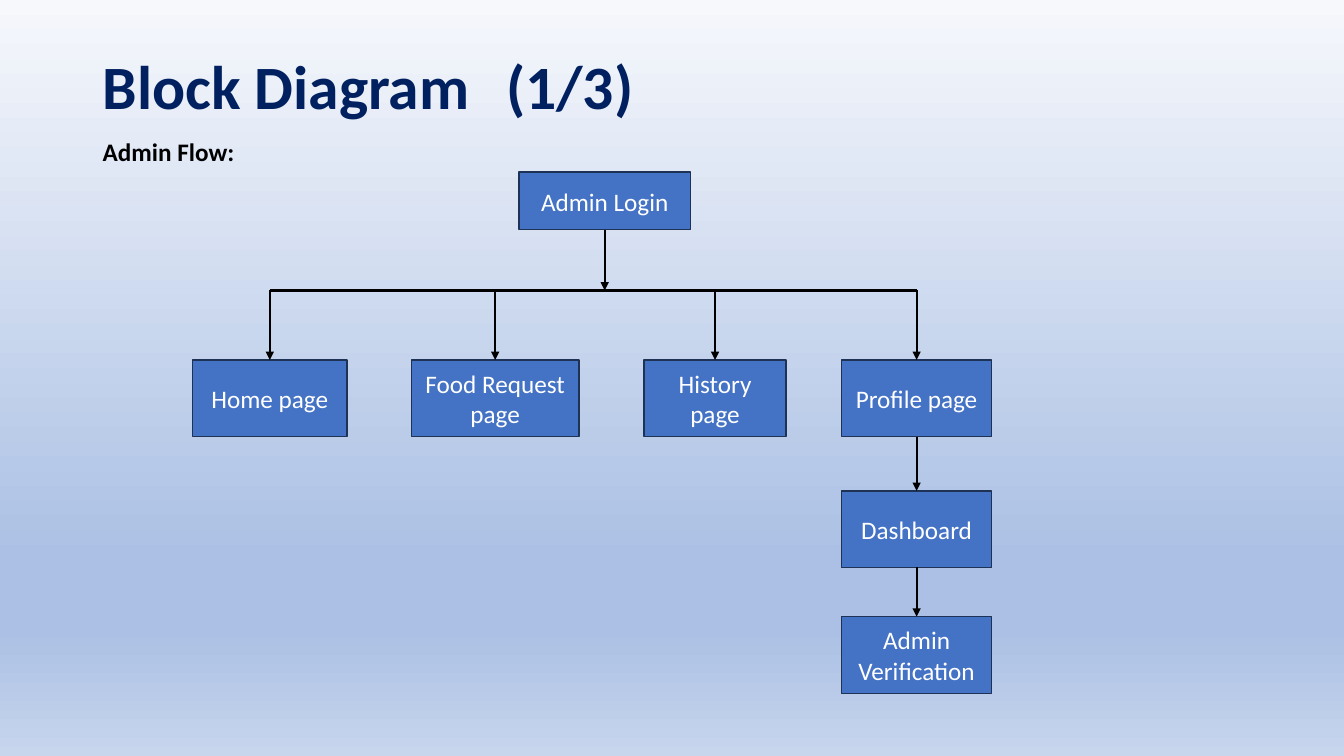
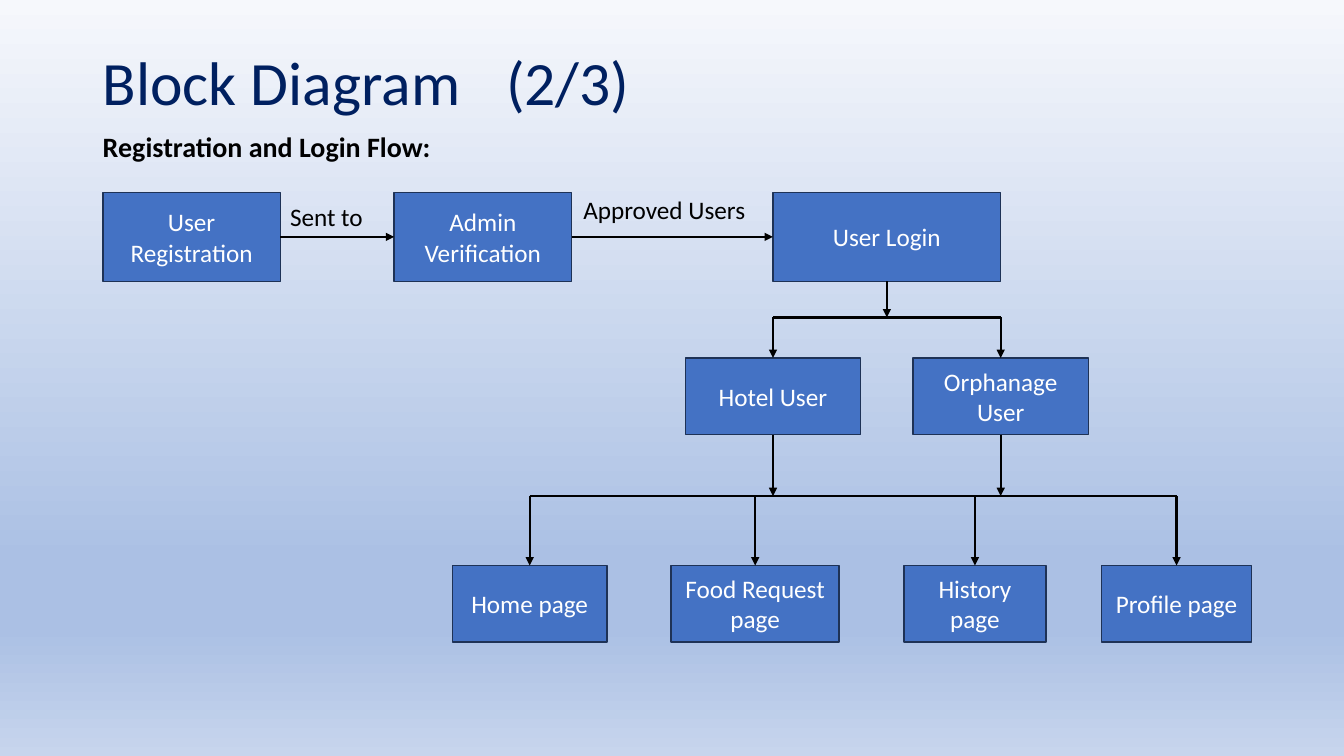
"""Build two block diagram slides for the admin and registration flows."""
from lxml import etree
from pptx import Presentation
from pptx.dml.color import RGBColor
from pptx.enum import shapes, text
from pptx.oxml.ns import qn
from pptx.util import Cm, Pt

NAVY = RGBColor(0x00, 0x20, 0x60)
BLUE = RGBColor(0x44, 0x72, 0xC4)
EDGE = RGBColor(0x1E, 0x32, 0x56)
BLACK = RGBColor(0x00, 0x00, 0x00)
WHITE = RGBColor(0xFF, 0xFF, 0xFF)
SKY = (
    (0, RGBColor(0xF6, 0xF8, 0xFC)),
    (74, RGBColor(0xAB, 0xC0, 0xE4)),
    (83, RGBColor(0xAB, 0xC0, 0xE4)),
    (100, RGBColor(0xC7, 0xD5, 0xED)),
)
FONT = "Calibri"
LEFT = 2.34
BOX_H = 1.93
BUS_DROP = 1.75
TOP, BOTTOM = 0, 2
PAGES = (
    ("Home page", 6.8, 3.9),
    ("Food Request page", 12.48, 4.23),
    ("History page", 18.02, 3.58),
    ("Profile page", 23.1, 3.79),
)


def set_background(master):
    """Give the master its vertical gradient."""
    fill = master.background.fill
    fill.gradient()
    fill.gradient_angle = 270
    stops = master.element.find(".//" + qn("a:gsLst"))
    for gs in list(stops):
        stops.remove(gs)
    for percent, color in SKY:
        gs = etree.SubElement(stops, qn("a:gs"), pos=str(percent * 1000))
        etree.SubElement(gs, qn("a:srgbClr"), val=str(color))


def write(tf, content, size, color, bold=False, align=text.PP_ALIGN.LEFT):
    """Fill a text frame with one formatted paragraph."""
    tf.text = content
    tf.word_wrap = True
    p = tf.paragraphs[0]
    p.alignment = align
    for r in p.runs:
        r.font.name = FONT
        r.font.size = Pt(size)
        r.font.bold = bold
        r.font.color.rgb = color
    return p


def add_slide(prs, title, top, width, height, bold):
    """Add a slide with its title placed and styled."""
    s = prs.slides.add_slide(prs.slide_layouts[5])
    sp = s.shapes.title
    sp.left, sp.top, sp.width, sp.height = Cm(LEFT), Cm(top), Cm(width), Cm(height)
    tf = sp.text_frame
    p = write(tf, title, 44, NAVY, bold)
    p.line_spacing = 0.9
    tf.vertical_anchor = text.MSO_ANCHOR.MIDDLE
    tf.auto_size = text.MSO_AUTO_SIZE.NONE
    return s


def add_label(s, content, left, top, width, height=1.02, size=18, bold=False):
    """Add a plain text label."""
    sp = s.shapes.add_textbox(Cm(left), Cm(top), Cm(width), Cm(height))
    write(sp.text_frame, content, size, BLACK, bold)
    sp.text_frame.auto_size = text.MSO_AUTO_SIZE.SHAPE_TO_FIT_TEXT


def add_box(s, content, center, top, width, height=BOX_H):
    """Add a diagram block centred on a horizontal position."""
    sp = s.shapes.add_shape(
        shapes.MSO_SHAPE.RECTANGLE,
        Cm(center - width / 2), Cm(top), Cm(width), Cm(height),
    )
    sp.shadow.inherit = False
    sp.fill.solid()
    sp.fill.fore_color.rgb = BLUE
    sp.line.color.rgb = EDGE
    sp.line.width = Pt(1)
    write(sp.text_frame, content, 18, WHITE, align=text.PP_ALIGN.CENTER)
    sp.text_frame.vertical_anchor = text.MSO_ANCHOR.MIDDLE
    return sp


def add_line(s, x1, y1, x2, y2, arrow=True):
    """Add a straight black connector, with an arrowhead if wanted."""
    c = s.shapes.add_connector(shapes.MSO_CONNECTOR.STRAIGHT, x1, y1, x2, y2)
    c.line.color.rgb = BLACK
    c.line.width = Pt(1.5)
    pr = c.element.spPr
    if arrow:
        etree.SubElement(pr.find(qn("a:ln")), qn("a:tailEnd"), type="triangle")
    etree.SubElement(pr, qn("a:effectLst"))
    return c


def middle(sp):
    """Return the horizontal centre of a shape."""
    return sp.left + sp.width // 2


def link(s, start, end, start_site=BOTTOM, end_site=TOP):
    """Join two blocks with an arrow."""
    c = add_line(s, start.left, start.top, end.left, end.top)
    c.begin_connect(start, start_site)
    c.end_connect(end, end_site)


def add_fork(s, parents, bus, children):
    """Lead parents down to a shared bus and the bus down to children."""
    y = Cm(bus)
    add_line(s, middle(children[0]), y, middle(children[-1]), y, arrow=False)
    for sp in parents:
        c = add_line(s, middle(sp), sp.top + sp.height, middle(sp), y)
        c.begin_connect(sp, BOTTOM)
    for sp in children:
        c = add_line(s, middle(sp), y, middle(sp), sp.top)
        c.end_connect(sp, TOP)


def add_pages(s, parents, bus, shift=0):
    """Add the row of page blocks below a bus."""
    pages = [
        add_box(s, name, center + shift, bus + BUS_DROP, width)
        for name, center, width in PAGES
    ]
    add_fork(s, parents, bus, pages)
    return pages


def admin_flow(prs):
    """Build the admin flow slide."""
    s = add_slide(prs, "Block Diagram\t(1/3)", 1.02, 18.87, 2.49, True)
    add_label(s, "Admin Flow:", LEFT, 3.3, 4.09, bold=True)
    login = add_box(s, "Admin Login", 15.24, 4.34, 4.32, 1.45)
    above = add_pages(s, [login], 7.32)[-1]
    _, center, width = PAGES[-1]
    for name, top in (("Dashboard", 12.37), ("Admin Verification", 15.54)):
        below = add_box(s, name, center, top, width)
        link(s, above, below)
        above = below


def registration_flow(prs):
    """Build the registration and login flow slide."""
    s = add_slide(prs, "Block Diagram\t(2/3)", 1.24, 17.15, 1.85, False)
    add_label(s, "Registration and Login Flow:", LEFT, 3.15, 9.07, 1.12, 20, True)
    steps = [
        add_box(s, name, center, 4.85, width, 2.24)
        for name, center, width in (
            ("User Registration", 4.83, 4.47),
            ("Admin Verification", 12.17, 4.47),
            ("User Login", 22.35, 5.74),
        )
    ]
    for start, end in zip(steps, steps[1:]):
        link(s, start, end, 3, 1)
    add_label(s, "Sent to", 7.06, 4.95, 2.44)
    add_label(s, "Approved Users", 14.45, 4.78, 4.98)
    users = [
        add_box(s, name, center, 9.02, 4.42)
        for name, center in (("Hotel User", 19.48), ("Orphanage User", 25.22))
    ]
    add_fork(s, steps[-1:], 8, users)
    add_pages(s, users, 12.5, 6.55)


def main():
    """Create and save the presentation."""
    prs = Presentation()
    prs.slide_width, prs.slide_height = Cm(33.87), Cm(19.05)
    set_background(prs.slide_master)
    admin_flow(prs)
    registration_flow(prs)
    prs.save("out.pptx")


if __name__ == "__main__":
    main()
